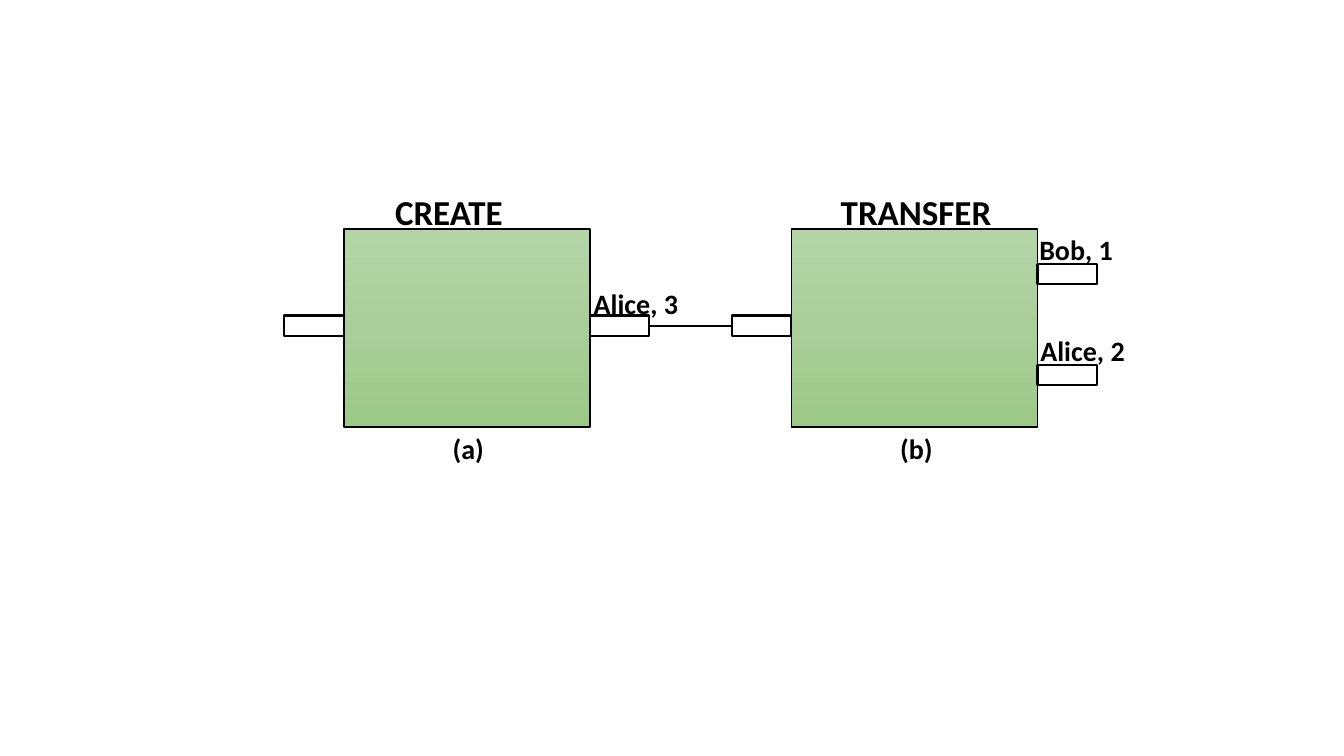
"""Build a slide showing a CREATE transaction feeding a TRANSFER transaction."""
from copy import deepcopy

from pptx import Presentation
from pptx.dml.color import RGBColor
from pptx.enum.shapes import MSO_CONNECTOR, MSO_SHAPE
from pptx.enum.text import MSO_AUTO_SIZE
from pptx.oxml.ns import qn
from pptx.oxml.xmlchemy import OxmlElement
from pptx.util import Inches, Pt

BLACK = RGBColor(0x00, 0x00, 0x00)
WHITE = RGBColor(0xFF, 0xFF, 0xFF)
GREENS = [
    RGBColor(0xB5, 0xD5, 0xA7),
    RGBColor(0xAA, 0xCE, 0x9A),
    RGBColor(0x9C, 0xC9, 0x87),
]
FONT = "Calibri"

BLOCK_TOP, BLOCK_WIDTH, BLOCK_HEIGHT = 2.27, 2.44, 1.97
PORT_WIDTH, PORT_HEIGHT = 0.59, 0.2
INPUT_TOP = 3.13

TRANSACTIONS = [
    {"left": 3.41, "output_tops": [3.13]},
    {"left": 7.85, "output_tops": [2.62, 3.62]},
]
LABELS = [
    ("CREATE", 25, 3.82, 1.84, 1.28, 0.52),
    ("TRANSFER", 25, 8.24, 1.84, 1.71, 0.52),
    ("(a)", 20, 4.39, 4.23, 0.52, 0.44),
    ("(b)", 20, 8.83, 4.23, 0.53, 0.44),
    ("Alice, 3", 20, 5.79, 2.79, 1.05, 0.44),
    ("Bob, 1", 20, 10.21, 2.26, 0.94, 0.44),
    ("Alice, 2", 20, 10.22, 3.26, 1.05, 0.44),
]


def add_box(slide, left, top, width, height, line_width):
    shape = slide.shapes.add_shape(
        MSO_SHAPE.RECTANGLE, Inches(left), Inches(top), Inches(width), Inches(height)
    )
    shape.shadow.inherit = False
    shape.line.color.rgb = BLACK
    shape.line.width = Pt(line_width)
    return shape


def add_block(slide, left):
    block = add_box(slide, left, BLOCK_TOP, BLOCK_WIDTH, BLOCK_HEIGHT, 1.25)
    block.fill.gradient()
    block.fill.gradient_angle = 270
    first_stop = next(block.element.iter(qn("a:gs")))
    first_stop.addnext(deepcopy(first_stop))
    for stop, color, position in zip(block.fill.gradient_stops, GREENS, (0, 0.5, 1)):
        stop.color.rgb = color
        stop.position = position


def add_port(slide, left, top):
    port = add_box(slide, left, top, PORT_WIDTH, PORT_HEIGHT, 1.5)
    port.fill.solid()
    port.fill.fore_color.rgb = WHITE


def add_label(slide, text, *, size, left, top, width, height):
    box = slide.shapes.add_textbox(
        Inches(left), Inches(top), Inches(width), Inches(height)
    )
    frame = box.text_frame
    frame.word_wrap = False
    frame.auto_size = MSO_AUTO_SIZE.SHAPE_TO_FIT_TEXT
    run = frame.paragraphs[0].add_run()
    run.text = text
    run.font.name = FONT
    run.font.size = Pt(size)
    run.font.bold = True
    run.font.color.rgb = BLACK


def add_link(slide, start, end, middle):
    link = slide.shapes.add_connector(
        MSO_CONNECTOR.STRAIGHT,
        Inches(start), Inches(middle), Inches(end), Inches(middle),
    )
    link.line.color.rgb = BLACK
    link.line.width = Pt(1.5)
    link.element.spPr.append(OxmlElement("a:effectLst"))


def main():
    presentation = Presentation()
    presentation.slide_width = Inches(13.33)
    presentation.slide_height = Inches(7.5)
    slide = presentation.slides.add_slide(presentation.slide_layouts[6])

    for transaction in TRANSACTIONS:
        left = transaction["left"]
        add_block(slide, left)
        add_port(slide, left - PORT_WIDTH, INPUT_TOP)
        for top in transaction["output_tops"]:
            add_port(slide, left + BLOCK_WIDTH, top)

    create, transfer = TRANSACTIONS
    add_link(
        slide,
        create["left"] + BLOCK_WIDTH + PORT_WIDTH,
        transfer["left"] - PORT_WIDTH,
        INPUT_TOP + PORT_HEIGHT / 2,
    )
    for text, size, left, top, width, height in LABELS:
        add_label(
            slide, text, size=size, left=left, top=top, width=width, height=height
        )
    presentation.save("out.pptx")


if __name__ == "__main__":
    main()
